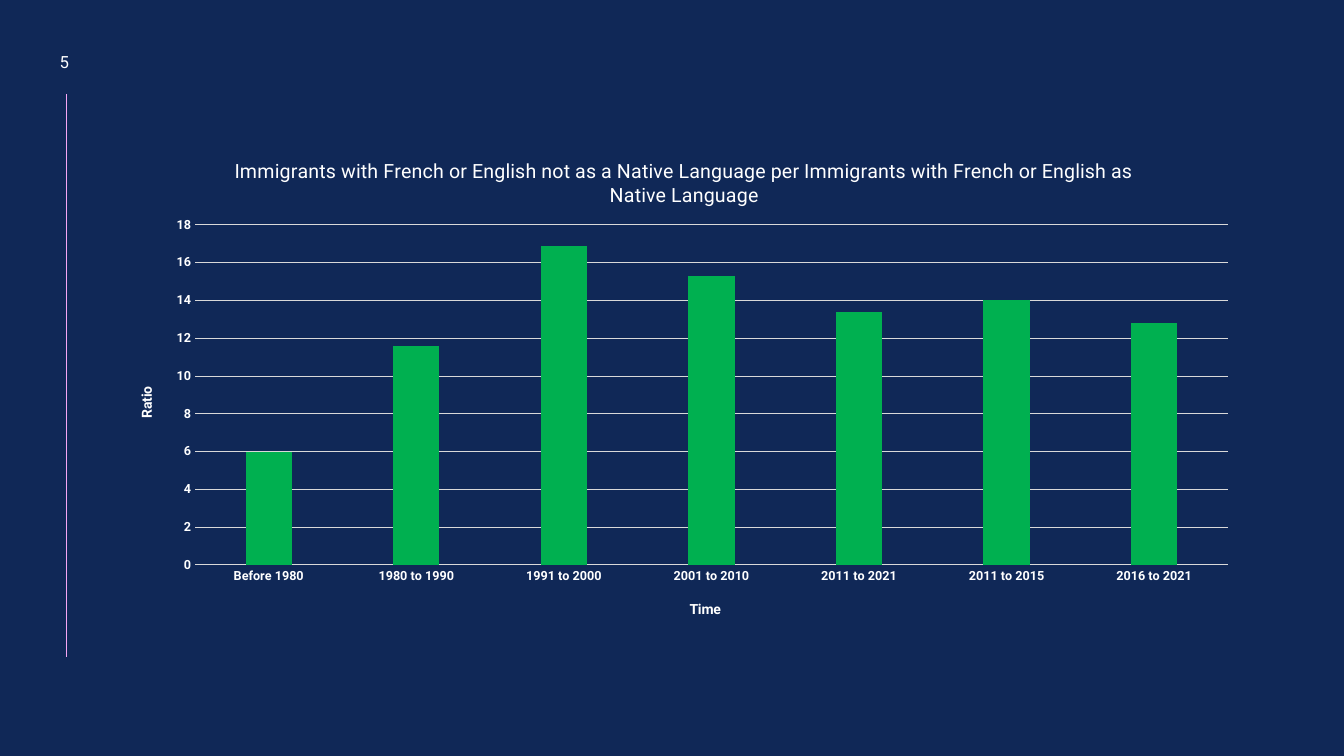
from lxml import etree
from pptx import Presentation
from pptx.chart.data import CategoryChartData
from pptx.dml.color import RGBColor
from pptx.enum.chart import XL_CHART_TYPE, XL_TICK_MARK
from pptx.enum.shapes import MSO_CONNECTOR
from pptx.enum.text import MSO_ANCHOR, PP_ALIGN
from pptx.oxml.ns import qn
from pptx.util import Emu, Pt

# Content
PAGE = "5"
TITLE = ("Immigrants with French or English not as a Native Language "
         "per Immigrants with French or English as Native Language")
RATIOS = [("Before 1980", 6), ("1980 to 1990", 11.6), ("1991 to 2000", 16.9),
          ("2001 to 2010", 15.3), ("2011 to 2021", 13.4),
          ("2011 to 2015", 14), ("2016 to 2021", 12.8)]
COLORS = {"bg": "102857", "text": "FFFFFF", "bar": "00B050",
          "grid": "D9D9D9", "rule": "F6A6F4"}
FONT = "Roboto"

# Places in pixels
CHART = (112, 134, 1139, 501)
PLOT = (195, 225, 1033, 340)
TITLE_AT, TIME_AT, RATIO_AT = (231, 154), (687, 598), (135, 384)


def px(n):
    return Emu(round(n * 914400 / 100.8))


def rgb(name):
    return RGBColor.from_string(COLORS[name])


def style(font, size, bold=False):
    font.name, font.size, font.bold = FONT, Pt(size), bold
    font.color.rgb = rgb("text")


def stroke(line, color, width):
    line.color.rgb = rgb(color)
    line.width = Pt(width)


def place(element, index, left, top, *size):
    """Give a chart part a fixed place, as fractions of the chart."""
    for old in element.findall(qn("c:layout")):
        element.remove(old)
    layout = etree.Element(qn("c:layout"))
    manual = etree.SubElement(layout, qn("c:manualLayout"))
    items = [("xMode", "edge"), ("yMode", "edge"),
             ("x", (left - CHART[0]) / CHART[2]),
             ("y", (top - CHART[1]) / CHART[3])]
    if size:
        items.insert(0, ("layoutTarget", "inner"))
        items += [("w", size[0] / CHART[2]), ("h", size[1] / CHART[3])]
    for tag, value in items:
        etree.SubElement(manual, qn("c:" + tag)).set("val", str(value))
    element.insert(index, layout)


def add_title(owner, element, text, size, bold, at):
    owner.has_title = True
    tf = element(owner).text_frame
    tf.text = text
    style(tf.paragraphs[0].runs[0].font, size, bold)
    title = element(owner)._element
    place(title, 1, *at)
    return title


prs = Presentation()
prs.slide_width, prs.slide_height = px(1344), px(756)
s = prs.slides.add_slide(prs.slide_layouts[6])
s.background.fill.solid()
s.background.fill.fore_color.rgb = rgb("bg")

# Side rule
rule = s.shapes.add_connector(MSO_CONNECTOR.STRAIGHT,
                              px(66), px(94), px(66), px(657))
stroke(rule.line, "rule", 0.5)
etree.SubElement(rule._element.spPr, qn("a:effectLst"))

# Page number
tf = s.shapes.add_textbox(px(36), px(45), px(57), px(34)).text_frame
tf.word_wrap = True
tf.vertical_anchor = MSO_ANCHOR.MIDDLE
tf.text = PAGE
p = tf.paragraphs[0]
p.alignment, p.space_after = PP_ALIGN.CENTER, Pt(6)
style(p.runs[0].font, 12)

# Chart
data = CategoryChartData(number_format="General")
data.categories = [period for period, _ in RATIOS]
data.add_series("Series 1", [ratio for _, ratio in RATIOS])
chart = s.shapes.add_chart(XL_CHART_TYPE.COLUMN_CLUSTERED,
                           *map(px, CHART), data).chart
chart.has_legend = False
chart.font.name, chart.font.size = FONT, Pt(10)
plot = chart.plots[0]
plot.vary_by_categories = False
plot.gap_width, plot.overlap = 219, -27
fill = plot.series[0].format.fill
fill.solid()
fill.fore_color.rgb = rgb("bar")
place(chart._chartSpace.chart.plotArea, 0, *PLOT)

# Axes
time, ratio = chart.category_axis, chart.value_axis
for axis in (time, ratio):
    axis.major_tick_mark = axis.minor_tick_mark = XL_TICK_MARK.NONE
    style(axis.tick_labels.font, 9, True)
stroke(time.format.line, "grid", 0.75)
ratio.format.line.fill.background()
ratio.has_major_gridlines = True
stroke(ratio.major_gridlines.format.line, "grid", 0.75)
ratio.minimum_scale, ratio.maximum_scale, ratio.major_unit = 0, 18, 2
ratio.tick_labels.number_format = "#,##0"
ratio.tick_labels.number_format_is_linked = False

# Titles
add_title(chart, lambda c: c.chart_title, TITLE, 14, False, TITLE_AT)
add_title(time, lambda a: a.axis_title, "Time", 10, True, TIME_AT)
upright = add_title(ratio, lambda a: a.axis_title, "Ratio", 10, True, RATIO_AT)
body = next(upright.iter(qn("a:bodyPr")))
body.set("rot", "-5400000")
body.set("vert", "horz")

prs.save("out.pptx")
